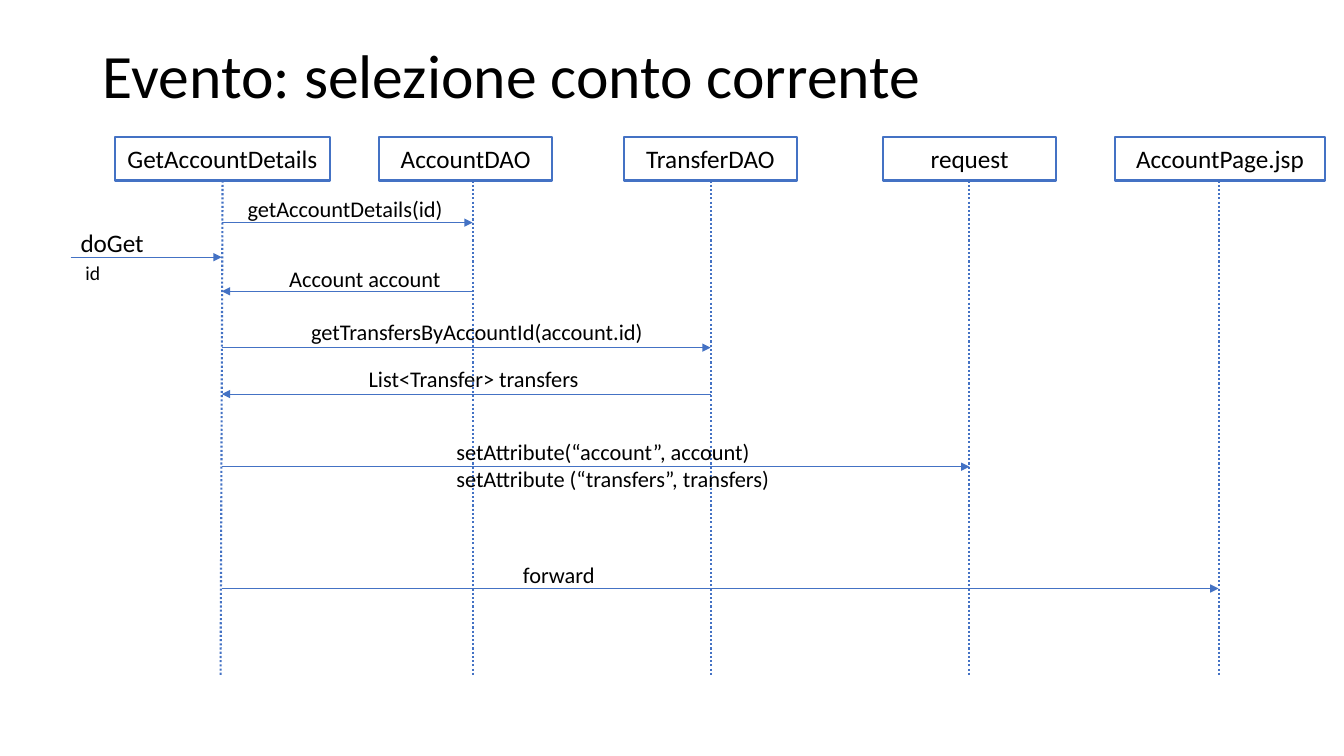
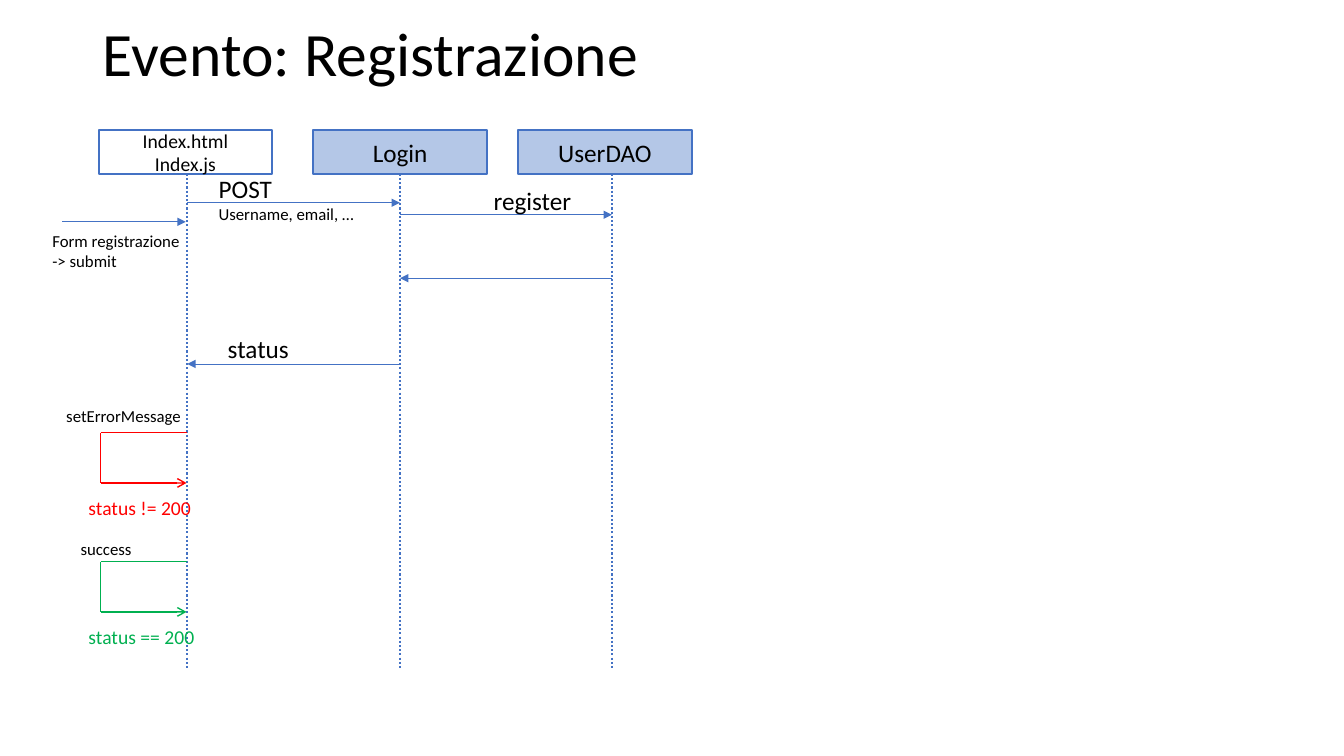
from dataclasses import dataclass

from pptx import Presentation
from pptx.dml.color import RGBColor
from pptx.enum.dml import MSO_LINE
from pptx.enum.shapes import MSO_CONNECTOR, MSO_SHAPE
from pptx.enum.text import MSO_ANCHOR, PP_ALIGN
from pptx.oxml.ns import qn
from pptx.util import Cm, Pt
from lxml import etree

STRAIGHT = MSO_CONNECTOR.STRAIGHT
RECTANGLE = MSO_SHAPE.RECTANGLE
DOTTED = MSO_LINE.ROUND_DOT
MIDDLE = MSO_ANCHOR.MIDDLE
LEFT, CENTER = PP_ALIGN.LEFT, PP_ALIGN.CENTER
TITLE_ONLY = 5


@dataclass(frozen=True)
class Theme:
    font: str = "Calibri"
    ink: str = "000000"
    blue: str = "4472C4"
    pale: str = "B4C7E7"
    red: str = "FF0000"
    green: str = "00B050"
    title: int = 44
    large: int = 18
    medium: int = 16
    small: int = 14
    tiny: int = 12
    bold_line: float = 1.5
    line: float = 1
    thin_line: float = 0.5


THEME = Theme()


@dataclass(frozen=True)
class Box:
    """A region in centimetres."""
    left: float
    top: float
    width: float
    height: float

    def inner(self, left, top, width, height):
        return Box(self.left + left, self.top + top, width, height)

    def lengths(self):
        return [Cm(side) for side in (self.left, self.top, self.width, self.height)]


@dataclass(frozen=True)
class Participant:
    """A head box and its lifeline, measured from the diagram's left edge."""
    name: str
    left: float
    axis: float
    width: float = 4.37
    size: int = THEME.large
    fill: str = ""
    drift: float = 0


# Shared parts

def write(frame, text, sizes, color=THEME.ink, align=LEFT, spacing=None):
    """Write one paragraph a line; the last size serves any further lines."""
    for index, line in enumerate(text.split("\n")):
        para = frame.paragraphs[0] if index == 0 else frame.add_paragraph()
        para.alignment = align
        if spacing:
            para.line_spacing = spacing
        span = para.add_run()
        span.text = line
        span.font.name = THEME.font
        span.font.size = Pt(sizes[min(index, len(sizes) - 1)])
        span.font.color.rgb = RGBColor.from_string(color)


def add_label(page, box, left, top, width, text, *sizes, color=THEME.ink):
    lines = text.count("\n") + 1
    height = 0.25 + lines * sizes[0] * 0.043
    place = box.inner(left, top, width, height)
    frame = page.shapes.add_textbox(*place.lengths()).text_frame
    frame.word_wrap = False
    write(frame, text, sizes, color)


def add_line(shapes, start, end, weight, color=THEME.blue, dash=None, head=None):
    points = [Cm(value) for value in (*start, *end)]
    connector = shapes.add_connector(STRAIGHT, *points)
    connector.line.color.rgb = RGBColor.from_string(color)
    connector.line.width = Pt(weight)
    if dash:
        connector.line.dash_style = dash
    properties = connector._element.spPr
    if head:
        outline = properties.find(qn("a:ln"))
        etree.SubElement(outline, qn("a:tailEnd"), type=head)
    etree.SubElement(properties, qn("a:effectLst"))


def add_page(deck, title, box):
    page = deck.slides.add_slide(deck.slide_layouts[TITLE_ONLY])
    holder = page.shapes.title
    holder.left, holder.top, holder.width, holder.height = box.lengths()
    holder.text_frame.vertical_anchor = MIDDLE
    write(holder.text_frame, title, [THEME.title], spacing=0.9)
    return page


# Parts of a sequence diagram

def add_participant(page, box, participant, head_height=1.1):
    place = box.inner(participant.left, 0, participant.width, head_height)
    head = page.shapes.add_shape(RECTANGLE, *place.lengths())
    head.shadow.inherit = False
    if participant.fill:
        head.fill.solid()
        head.fill.fore_color.rgb = RGBColor.from_string(participant.fill)
    else:
        head.fill.background()
    head.line.color.rgb = RGBColor.from_string(THEME.blue)
    head.line.width = Pt(THEME.bold_line)
    head.text_frame.word_wrap = True
    head.text_frame.vertical_anchor = MIDDLE
    write(head.text_frame, participant.name, [participant.size], align=CENTER)

    axis = box.left + participant.axis
    add_line(page.shapes, (axis, box.top + head_height),
             (axis + participant.drift, box.top + box.height),
             THEME.bold_line, dash=DOTTED)


def add_sequence(page, box, participants, messages, labels):
    for participant in participants:
        add_participant(page, box, participant)
    for start, end, top, weight in messages:
        y = box.top + top
        add_line(page.shapes, (box.left + start, y), (box.left + end, y),
                 weight, head="triangle")
    for label in labels:
        add_label(page, box, *label)


def add_self_call(page, box, color, caption, condition):
    """Draw a call that returns to its own lifeline, with text above and below."""
    right, bottom = box.left + box.width, box.top + box.height
    corners = [(right, box.top), (box.left, box.top),
               (box.left, bottom), (right, bottom)]
    group = page.shapes.add_group_shape()
    for start, end in zip(corners, corners[1:]):
        head = "arrow" if end == corners[-1] else None
        add_line(group.shapes, start, end, THEME.line, color, head=head)
    add_label(page, box, *caption, THEME.tiny)
    add_label(page, box, -0.56, box.height + 0.2, 3.2, condition,
              THEME.small, color=color)


# Slides

def account_selection(deck):
    page = add_page(deck, "Evento: selezione conto corrente",
                    Box(2.34, 0.81, 29.21, 2.36))
    servlet, account, transfer, request, view = 2.69, 9.01, 15.01, 21.53, 27.81
    participants = [
        Participant("GetAccountDetails", 0, servlet + 0.02, width=5.41, drift=-0.05),
        Participant("AccountDAO", 6.65, account),
        Participant("TransferDAO", 12.82, transfer),
        Participant("request", 19.35, request),
        Participant("AccountPage.jsp", 25.19, view, width=5.31),
    ]
    messages = [
        (servlet, account, 2.16, THEME.line),
        (-1.12, servlet, 3.03, THEME.thin_line),
        (account, servlet, 3.89, THEME.thin_line),
        (servlet, transfer, 5.31, THEME.thin_line),
        (transfer, servlet, 6.48, THEME.thin_line),
        (servlet, request, 8.31, THEME.thin_line),
        (servlet, view, 11.38, THEME.thin_line),
    ]
    labels = [
        (3.09, 1.35, 5.49, "getAccountDetails(id)", THEME.medium),
        (-1.12, 2.16, 2.13, "doGet", THEME.large),
        (-1, 3, 0.89, "id", THEME.small),
        (4.14, 3.1, 4.37, "Account account", THEME.medium),
        (4.69, 4.45, 8.97, "getTransfersByAccountId(account.id)", THEME.medium),
        (6.14, 5.62, 5.87, "List<Transfer> transfers", THEME.medium),
        (8.35, 7.47, 8.51, "setAttribute(“account”, account)\n"
         "setAttribute (“transfers”, transfers)", THEME.medium),
        (10.03, 10.57, 2.34, "forward", THEME.medium),
    ]
    add_sequence(page, Box(2.9, 3.45, 30.5, 13.57), participants, messages, labels)


def registration(deck):
    page = add_page(deck, "Evento: Registrazione", Box(2.34, 0.25, 29.21, 2.34))
    box = Box(2.49, 3.28, 14.94, 13.56)
    client, login, user = 2.23, 7.59, 12.93
    participants = [
        Participant("Index.html\nIndex.js", 0, client, size=THEME.small),
        Participant("Login", 5.41, login, fill=THEME.pale),
        Participant("UserDAO", 10.57, user, fill=THEME.pale),
    ]
    messages = [
        (client, login, 1.83, THEME.line),
        (login, user, 2.13, THEME.line),
        (-0.92, client - 0.04, 2.31, THEME.thin_line),
        (user, login, 3.73, THEME.thin_line),
        (login, client, 5.89, THEME.thin_line),
    ]
    labels = [
        (2.77, 0.96, 3.99, "POST\nUsername, email, …", THEME.large, THEME.tiny),
        (9.7, 1.27, 2.49, "register", THEME.large),
        (-1.42, 2.41, 3.86, "Form registrazione\n-> submit", THEME.tiny),
        (3, 5, 2.06, "status", THEME.large),
    ]
    add_sequence(page, box, participants, messages, labels)

    # Outcomes handled by the client
    outcomes = [
        (7.62, THEME.red, (-1.12, -0.79, 3.43, "setErrorMessage"), "status != 200"),
        (10.87, THEME.green, (-0.76, -0.69, 1.83, "success"), "status == 200"),
    ]
    for top, color, caption, condition in outcomes:
        add_self_call(page, box.inner(0.05, top, 2.16, 1.27),
                      color, caption, condition)


deck = Presentation()
deck.slide_width, deck.slide_height = Cm(33.87), Cm(19.05)
account_selection(deck)
registration(deck)
deck.save("out.pptx")
